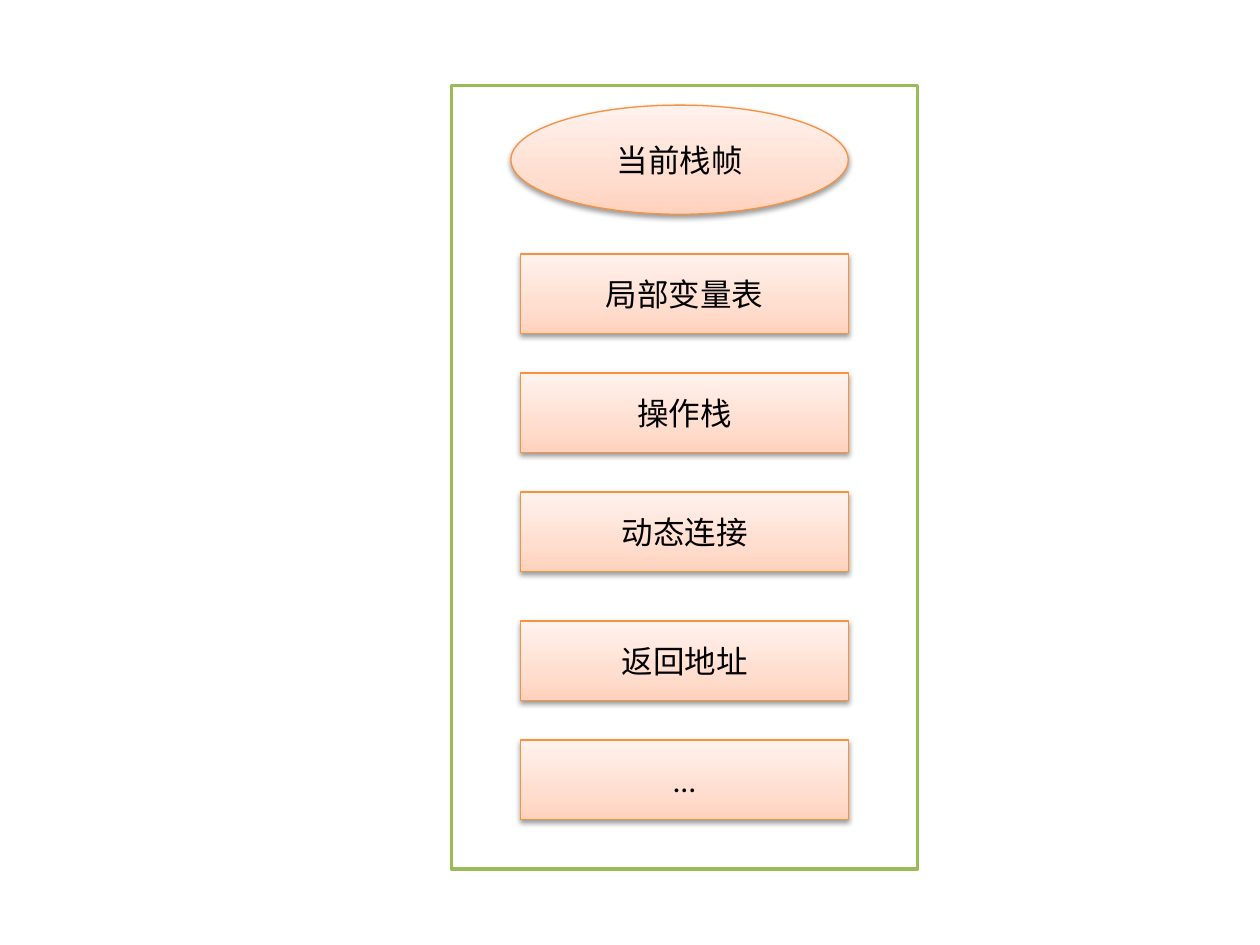
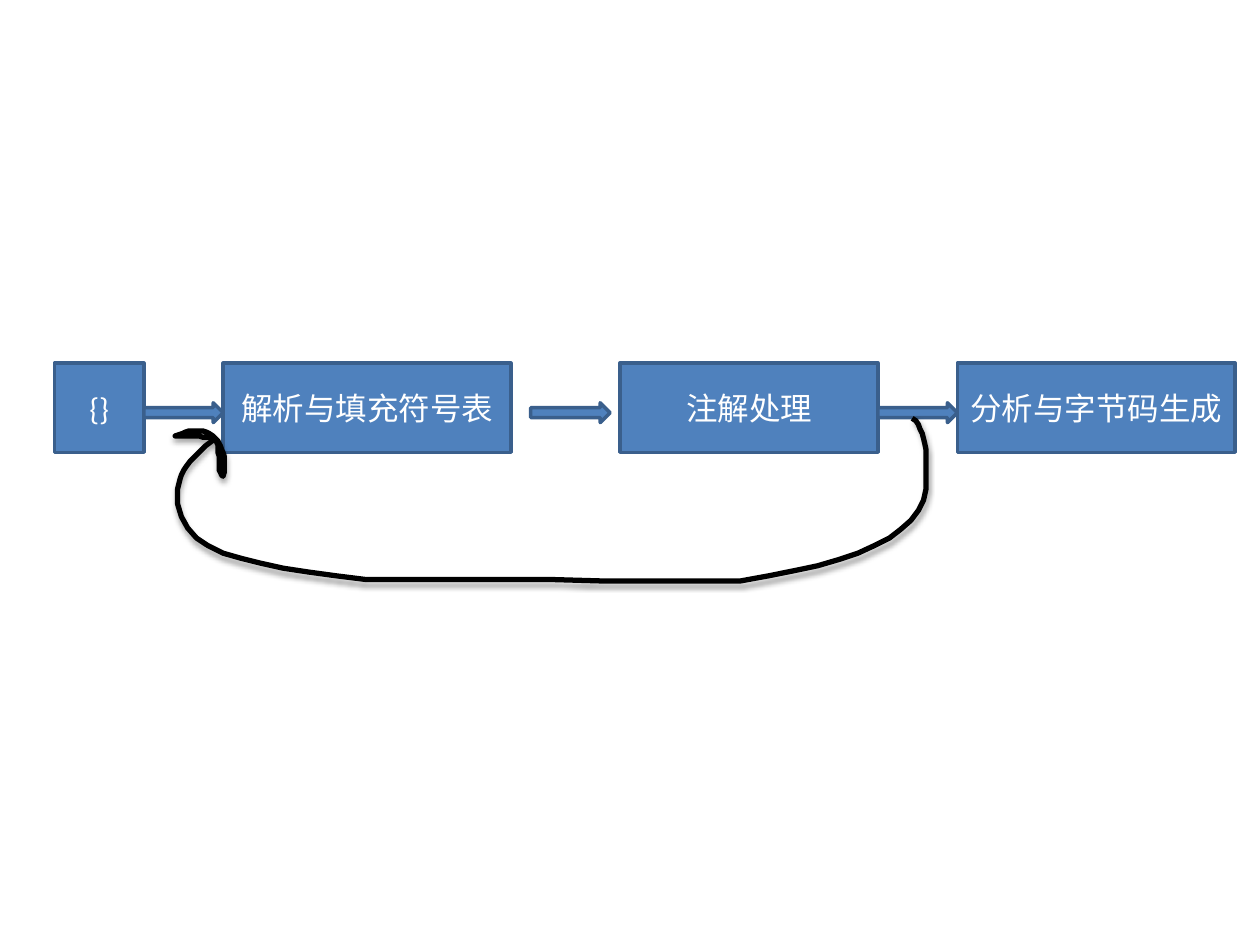
from pptx import Presentation
from pptx.dml.color import RGBColor
from pptx.enum.shapes import MSO_SHAPE
from pptx.enum.text import MSO_ANCHOR, PP_ALIGN
from pptx.oxml import parse_xml
from pptx.oxml.ns import nsdecls, qn
from pptx.util import Inches, Pt
from copy import deepcopy

COLUMNS = 127
ORIGIN_COLUMN, ORIGIN_ROW = 0.5, 0.6
PEACH_STOPS = ((0, "FFD2BD"), (0.35, "FFDED0"), (1, "FFF2ED"))
CURVE_STEPS = 12


def rgb(value):
    return RGBColor.from_string(value)


def bezier(start, pull_out, pull_in, end):
    """Sample a cubic curve evenly, leaving out its start."""
    def point(t):
        weights = ((1 - t) ** 3, 3 * t * (1 - t) ** 2, 3 * t ** 2 * (1 - t), t ** 3)
        corners = (start, pull_out, pull_in, end)
        return tuple(sum(w * corner[axis] for w, corner in zip(weights, corners))
                     for axis in (0, 1))
    return [point(step / CURVE_STEPS) for step in range(1, CURVE_STEPS + 1)]


class DiagramDeck:
    font, font_size = "Calibri", Pt(18)

    def __init__(self):
        self.deck = Presentation()
        self.deck.slide_width, self.deck.slide_height = Inches(10), Inches(7.5)
        self.cell = self.deck.slide_width / COLUMNS
        self.slide = None

    def new_slide(self):
        self.slide = self.deck.slides.add_slide(self.deck.slide_layouts[6])

    def block(self, kind, column, row, columns, rows, fill, line, weight=2):
        lengths = (column + ORIGIN_COLUMN, row + ORIGIN_ROW, columns, rows)
        shape = self.slide.shapes.add_shape(
            kind, *(round(length * self.cell) for length in lengths))
        shape.shadow.inherit = False
        shape.fill.solid()
        shape.fill.fore_color.rgb = rgb(fill)
        self.outline(shape, line, weight)
        return shape

    def outline(self, shape, color, weight):
        shape.line.color.rgb = rgb(color)
        shape.line.width = Pt(weight)

    def label(self, shape, wording, color):
        frame = shape.text_frame
        frame.text = wording
        frame.word_wrap = True
        frame.vertical_anchor = MSO_ANCHOR.MIDDLE
        paragraph = frame.paragraphs[0]
        paragraph.alignment = PP_ALIGN.CENTER
        font = paragraph.runs[0].font
        font.name, font.size = self.font, self.font_size
        font.color.rgb = rgb(color)

    def drop_shadow(self, shape, opacity, distance):
        """Cast a soft black shadow straight down."""
        shape.shadow.inherit = False
        effects = shape.element.spPr.find(qn("a:effectLst"))
        effects.append(parse_xml(
            f'<a:outerShdw {nsdecls("a")} blurRad="{Pt(3.1)}" dist="{Pt(distance)}" '
            f'dir="5400000" rotWithShape="0"><a:srgbClr val="000000">'
            f'<a:alpha val="{opacity * 1000}"/></a:srgbClr></a:outerShdw>'))

    def peach_gradient(self, shape):
        shape.fill.gradient()
        shape.fill.gradient_angle = 90
        stop_list = shape.element.spPr.find(".//" + qn("a:gsLst"))
        stop_list.append(deepcopy(stop_list[0]))
        for stop, (position, color) in zip(shape.fill.gradient_stops, PEACH_STOPS):
            stop.position = position
            stop.color.rgb = rgb(color)

    def frame_part(self, kind, wording, *place):
        part = self.block(kind, *place, "FFDED0", "F69240", 0.75)
        self.peach_gradient(part)
        self.drop_shadow(part, 38, 1.6)
        self.label(part, wording, "000000")

    def step(self, wording, *place):
        box = self.block(MSO_SHAPE.RECTANGLE, *place, "4F81BD", "3A5F8C")
        self.label(box, wording, "FFFFFF")

    def step_arrow(self, column):
        self.block(MSO_SHAPE.RIGHT_ARROW, column, 40, 8, 2, "4F81BD", "3A5F8C")

    def pen_stroke(self, start, legs):
        """Draw joined curves; points are in thousandths of the slide's width."""
        builder = self.slide.shapes.build_freeform(
            *start, scale=self.deck.slide_width / 1000)
        for pull_out, pull_in, end in legs:
            builder.add_line_segments(bezier(start, pull_out, pull_in, end), close=False)
            start = end
        stroke = builder.convert_to_shape()
        stroke.fill.background()
        self.outline(stroke, "000000", 3)
        self.drop_shadow(stroke, 35, 1.8)


def stack_frame_slide(deck):
    deck.new_slide()
    deck.block(MSO_SHAPE.RECTANGLE, 45, 8, 47, 79, "FFFFFF", "9BBB59")
    deck.frame_part(MSO_SHAPE.OVAL, "当前栈帧", 51, 10, 34, 11)
    sections = {"局部变量表": 25, "操作栈": 37, "动态连接": 49, "返回地址": 62, "…": 74}
    for section, row in sections.items():
        deck.frame_part(MSO_SHAPE.RECTANGLE, section, 52, row, 33, 8)


def return_loop(deck):
    """Lead from the last arrow back to the parsing step."""
    last_arrow, right_bend, left_bend = (724, 332), (735, 388), (141, 388)
    floor_right, floor_left = (588, 461), (291, 460)
    tip, left_barb, lower_barb = (171, 348), (139, 346), (177, 378)
    loop = [
        ((735, 340), (736, 360), right_bend),
        ((730, 425), (680, 447), floor_right),
        (floor_right, floor_left, floor_left),
        ((190, 447), (138, 440), left_bend),
        ((143, 372), (155, 360), tip),
    ]
    # Each barb goes out along one side and back along the other
    arrowhead = [
        ((162, 339), (150, 341), left_barb),
        ((150, 346), (162, 346), tip),
        ((178, 355), (180, 368), lower_barb),
        ((171, 374), (176, 358), tip),
    ]
    deck.pen_stroke(last_arrow, loop + arrowhead)


def compile_slide(deck):
    deck.new_slide()
    steps = (("{}", 5, 9), ("解析与填充符号表", 22, 29),
             ("注解处理", 62, 26), ("分析与字节码生成", 96, 28))
    for wording, column, columns in steps:
        deck.step(wording, column, 36, columns, 9)
    for column in (14, 53, 88):
        deck.step_arrow(column)
    return_loop(deck)


def main():
    diagrams = DiagramDeck()
    stack_frame_slide(diagrams)
    compile_slide(diagrams)
    diagrams.deck.save("out.pptx")


if __name__ == "__main__":
    main()
